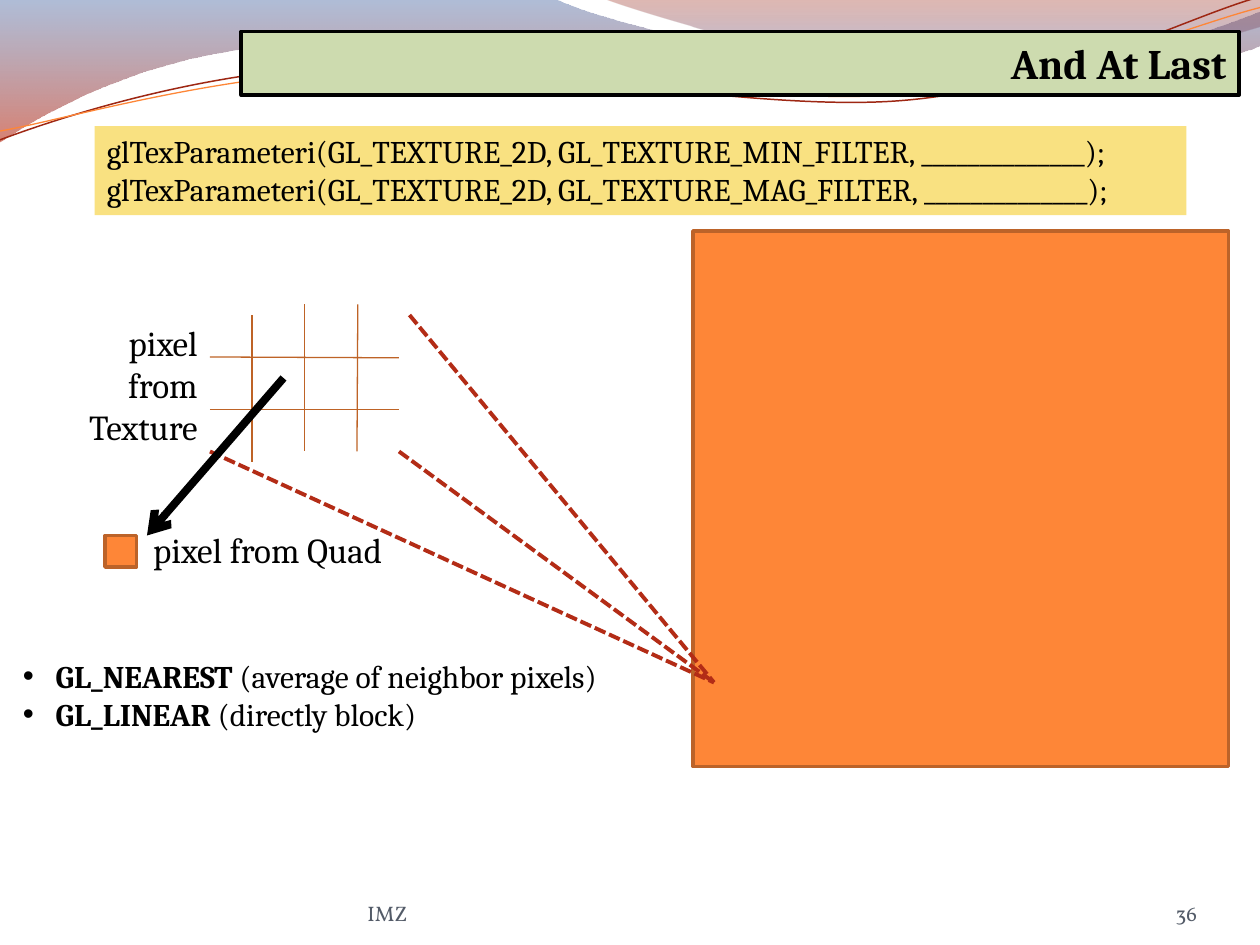
from math import cos, radians, sin

from lxml.etree import SubElement
from pptx import Presentation
from pptx.dml.color import RGBColor
from pptx.enum.dml import MSO_LINE
from pptx.enum.shapes import MSO_CONNECTOR, MSO_SHAPE
from pptx.enum.text import MSO_ANCHOR, PP_ALIGN
from pptx.oxml.ns import qn
from pptx.util import Inches, Pt

COLUMNS, ROWS = 120, 90
CELL = Inches(10) / COLUMNS

BLACK = RGBColor(0x00, 0x00, 0x00)
ORANGE = RGBColor(0xFE, 0x86, 0x37)
BROWN = RGBColor(0xBC, 0x63, 0x29)
GRID_BROWN = RGBColor(0xBE, 0x63, 0x26)
RED = RGBColor(0xB3, 0x2C, 0x16)
YELLOW = RGBColor(0xF9, 0xE1, 0x81)
GREEN = RGBColor(0xCD, 0xDB, 0xAF)
SLATE = RGBColor(0x53, 0x5B, 0x68)
WAVE_RED = RGBColor(0x9E, 0x27, 0x13)
# Gradient stops: position, colour, opacity in percent
LEFT_STOPS = [(0, RGBColor(0x4F, 0x6E, 0xA8), 45), (1, RGBColor(0xB6, 0x1A, 0x00), 55)]
RIGHT_STOPS = [(0, RGBColor(0x95, 0x15, 0x00), 30), (0.8, RGBColor(0x56, 0x81, 0xD1), 45)]

BODY = {"name": "Cambria", "size": Pt(18), "bold": False}
LABEL = BODY | {"size": Pt(20)}
TITLE = BODY | {"size": Pt(24), "bold": True}
FOOTER = BODY | {"name": "Vollkorn", "size": Pt(12)}

# Wave outlines in inches: pairs are straight steps, sixes are Bezier steps
LEFT_WAVE = [(0, 0), (4.4, -0.01), (4.76, 0.17, 6.64, 0.63, 7.58, 0.63),
             (8.53, 0.63, 9.58, 0.26, 10, 0.09), (10.01, 0.36),
             (9.83, 0.44, 8.7, 0.76, 7.46, 0.75), (6.22, 0.75, 3.82, 0.28, 2.57, 0.34),
             (1.29, 0.36, 0.46, 0.83, -0.01, 1.13)]
RIGHT_WAVE = [(4.79, -0.01), (5.09, 0.11, 6.82, 0.62, 7.69, 0.65),
              (8.56, 0.69, 9.61, 0.32, 10, 0.21), (10, 0)]
RED_WAVE = [(0, 1.11), (0.48, 0.93, 1.58, 0.57, 2.77, 0.52),
            (3.95, 0.47, 5.93, 0.89, 7.13, 0.8), (8.33, 0.71, 9.38, 0.15, 9.98, -0.02)]
ORANGE_WAVE = [(0, 1.04), (0.47, 0.96, 1.64, 0.61, 2.83, 0.56),
               (4.03, 0.51, 5.97, 0.84, 7.17, 0.75), (8.36, 0.67, 9.41, 0.21, 10, 0.06)]
WAVE_TILT = 2.7
WAVE_CENTER = (4.99, 0.58)


def cells(*counts):
    return [round(count * CELL) for count in counts]


def level(x, y, tilt):
    """Turn a point clockwise about the wave center, undoing the shape's tilt."""
    dx, dy = x - WAVE_CENTER[0], y - WAVE_CENTER[1]
    turn = radians(tilt)
    return (Inches(WAVE_CENTER[0] + dx * cos(turn) - dy * sin(turn)),
            Inches(WAVE_CENTER[1] + dx * sin(turn) + dy * cos(turn)))


def add_wave(slide, outline, close, tilt=0):
    """Draw the control points as lines, then join each three into a Bezier step."""
    start, *points = [level(*step[i:i + 2], tilt)
                      for step in outline for i in range(0, len(step), 2)]
    builder = slide.shapes.build_freeform(*start, scale=1.0)
    builder.add_line_segments(points, close=close)
    wave = builder.convert_to_shape()
    wave.shadow.inherit = False
    wave.rotation = -tilt % 360
    segments = iter(list(wave.element.iter(qn("a:lnTo"))))
    for step in outline[1:]:
        first = next(segments)
        if len(step) == 6:
            first.tag = qn("a:cubicBezTo")
            for _ in range(2):
                control = next(segments)
                control.getparent().remove(control)
                first.append(control[0])
    return wave


def add_wave_band(slide, outline, stops):
    band = add_wave(slide, outline, True)
    band.line.fill.background()
    band.fill.gradient()
    band.fill.gradient_angle = 270
    for stop, (position, color, _) in zip(band.fill.gradient_stops, stops):
        stop.position = position
        stop.color.rgb = color
    for color_node, (_, _, opacity) in zip(band.element.iter(qn("a:srgbClr")), stops):
        SubElement(color_node, qn("a:alpha"), val=str(opacity * 1000))


def add_wave_line(slide, outline, color, width):
    wave = add_wave(slide, outline, False, WAVE_TILT)
    wave.fill.background()
    wave.line.color.rgb = color
    wave.line.width = Pt(width)


def add_block(slide, place, fill, outline=None, width=2):
    block = slide.shapes.add_shape(MSO_SHAPE.RECTANGLE, *cells(*place))
    block.shadow.inherit = False
    block.fill.solid()
    block.fill.fore_color.rgb = fill
    if outline is None:
        block.line.fill.background()
    else:
        block.line.color.rgb = outline
        block.line.width = Pt(width)
    return block


def add_line(slide, ends, color, width, dash=None, head=False):
    line = slide.shapes.add_connector(MSO_CONNECTOR.STRAIGHT, *cells(*ends))
    line.line.color.rgb = color
    line.line.width = Pt(width)
    if dash is not None:
        line.line.dash_style = dash
    properties = line.element.spPr
    if head:
        SubElement(properties.find(qn("a:ln")), qn("a:tailEnd"), type="arrow")
    SubElement(properties, qn("a:effectLst"))


def add_bullet(paragraph):
    properties = paragraph._p.get_or_add_pPr()
    indent = Inches(0.26)
    properties.set("marL", str(indent))
    properties.set("indent", str(-indent))
    SubElement(properties, qn("a:buFont"), typeface="Arial")
    SubElement(properties, qn("a:buChar"), char="•")


def write(shape, lines, style, align=PP_ALIGN.LEFT, color=BLACK, bullets=False):
    """Fill a shape; each line is a list of (text, format changes) runs."""
    frame = shape.text_frame
    frame.word_wrap = True
    frame.vertical_anchor = MSO_ANCHOR.TOP
    for index, runs in enumerate(lines):
        paragraph = frame.add_paragraph() if index else frame.paragraphs[0]
        paragraph.alignment = align
        if bullets:
            add_bullet(paragraph)
        for text, changes in runs:
            run = paragraph.add_run()
            run.text = text
            for name, value in (style | changes).items():
                setattr(run.font, name, value)
            run.font.color.rgb = color
    return frame


def add_text(slide, place, lines, style, **options):
    return write(slide.shapes.add_textbox(*cells(*place)), lines, style, **options)


def add_footer(slide, place, text, align):
    frame = add_text(slide, place, [[(text, {})]], FOOTER, align=align, color=SLATE)
    frame.vertical_anchor = MSO_ANCHOR.BOTTOM
    for side in ("left", "right", "top", "bottom"):
        setattr(frame, f"margin_{side}", 0)


def add_texture_grid(slide):
    for ends in ((24, 30, 24, 44), (29, 29, 29, 43), (34.08, 29, 34, 43),
                 (20, 34, 38, 34.08), (20, 39, 38, 39)):
        add_line(slide, ends, GRID_BROWN, 0.75)
    for corner in ((39, 30), (20, 43), (38, 43)):
        add_line(slide, (*corner, 68, 65), RED, 2.25, MSO_LINE.SQUARE_DOT)


def main():
    deck = Presentation()
    deck.slide_width, deck.slide_height = cells(COLUMNS, ROWS)
    slide = deck.slides.add_slide(deck.slide_layouts[6])

    add_wave_band(slide, LEFT_WAVE, LEFT_STOPS)
    add_wave_band(slide, RIGHT_WAVE, RIGHT_STOPS)
    add_wave_line(slide, RED_WAVE, WAVE_RED, 0.85)
    add_wave_line(slide, ORANGE_WAVE, ORANGE, 0.75)
    add_block(slide, (66, 22, 51, 51), ORANGE, BROWN)
    add_texture_grid(slide)
    add_block(slide, (10, 51, 3, 3), ORANGE, BROWN)
    add_text(slide, (11, 49.75, 29, 5.25), [[("pixel from Quad", {})]], LABEL,
             align=PP_ALIGN.CENTER)
    add_text(slide, (4, 30, 16, 13.3), [[("pixel from Texture", {})]], LABEL,
             align=PP_ALIGN.RIGHT)
    filters = (("GL_NEAREST ", "(average of neighbor pixels)"),
               ("GL_LINEAR ", "(directly block)"))
    add_text(slide, (1, 62, 61, 8.5),
             [[(name, {"bold": True}), (meaning, {})] for name, meaning in filters],
             BODY, bullets=True)
    add_line(slide, (27, 36, 14, 51), BLACK, 4.5, head=True)

    calls = [[(f"glTexParameteri(GL_TEXTURE_2D, GL_TEXTURE_{kind}_FILTER, ______________);", {})]
             for kind in ("MIN", "MAG")]
    write(add_block(slide, (9, 12, 104, 8.5), YELLOW), calls, BODY)
    write(add_block(slide, (23, 3, 95, 6.06), GREEN, BLACK, 2.25),
          [[("And At Last", {})]], TITLE, align=PP_ALIGN.RIGHT)
    add_footer(slide, (104, 83.4, 10, 4.8), "36", PP_ALIGN.RIGHT)
    add_footer(slide, (35, 83.4, 44, 4.8), "IMZ", PP_ALIGN.LEFT)

    deck.save("out.pptx")


if __name__ == "__main__":
    main()
